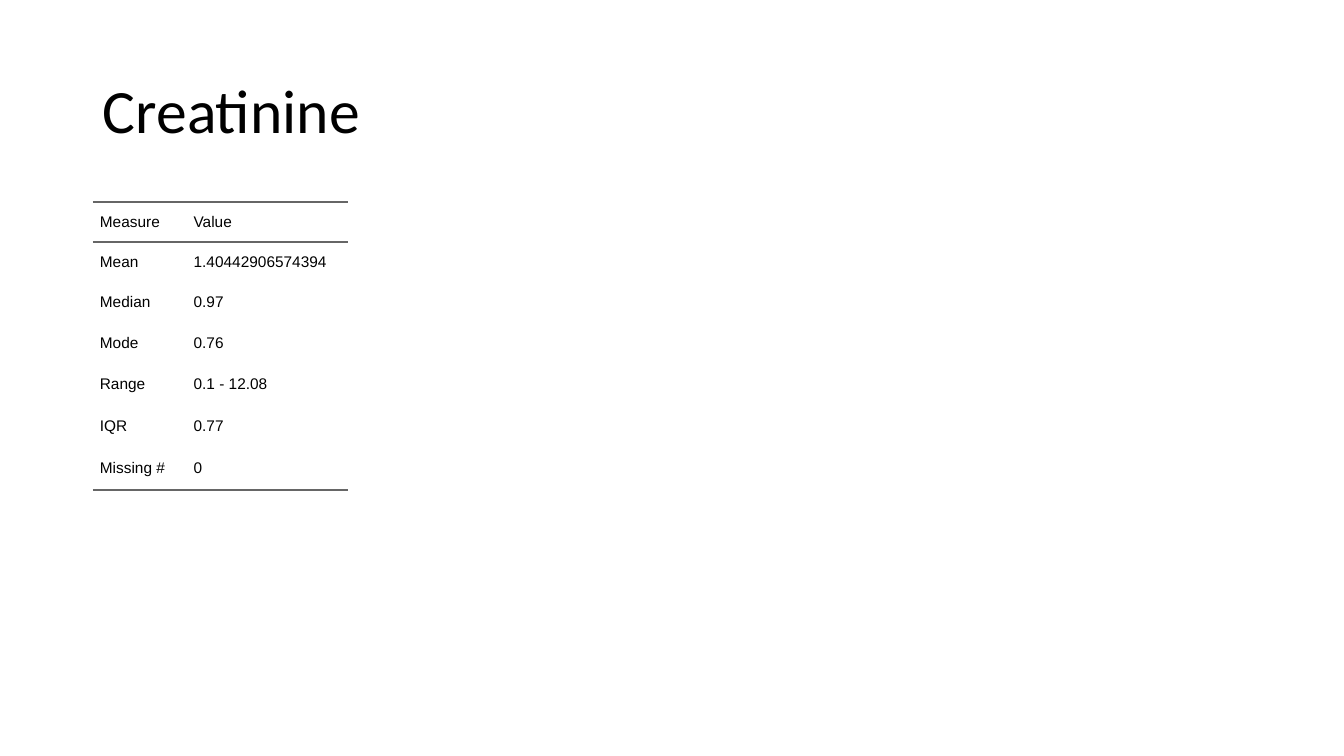
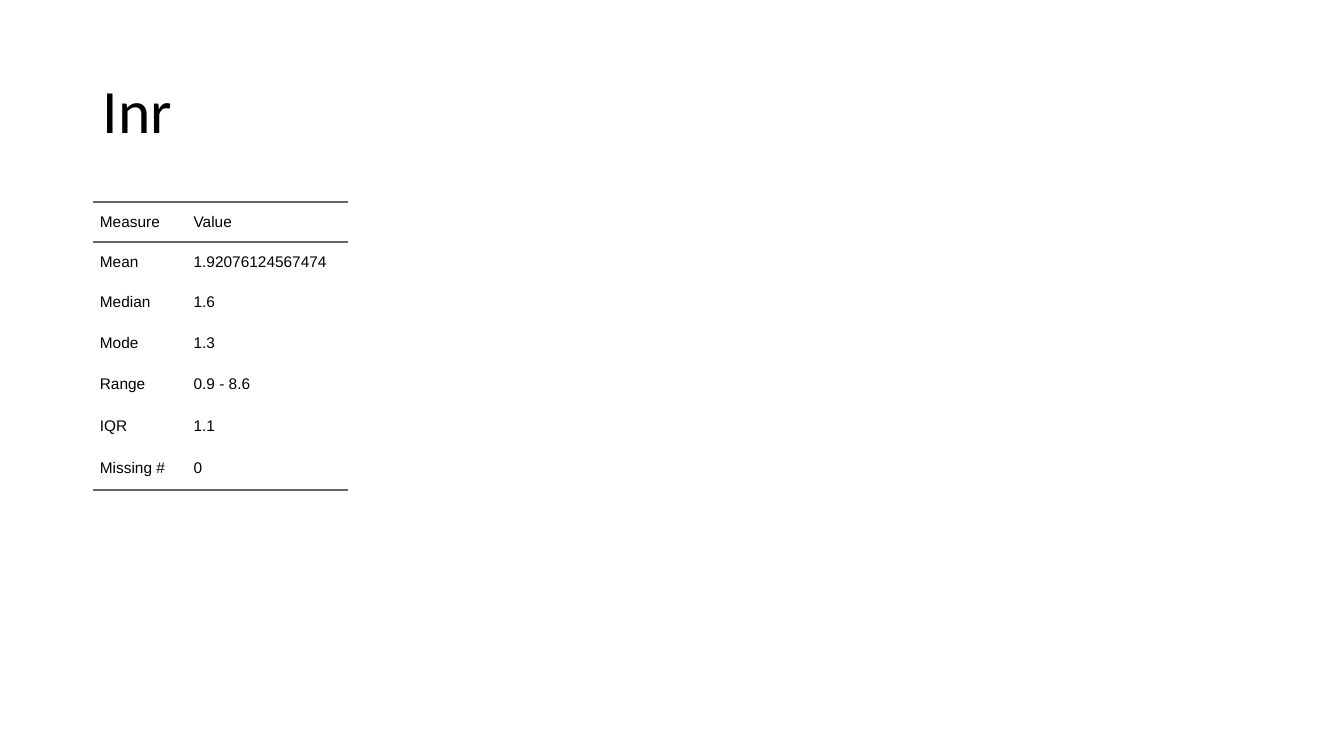
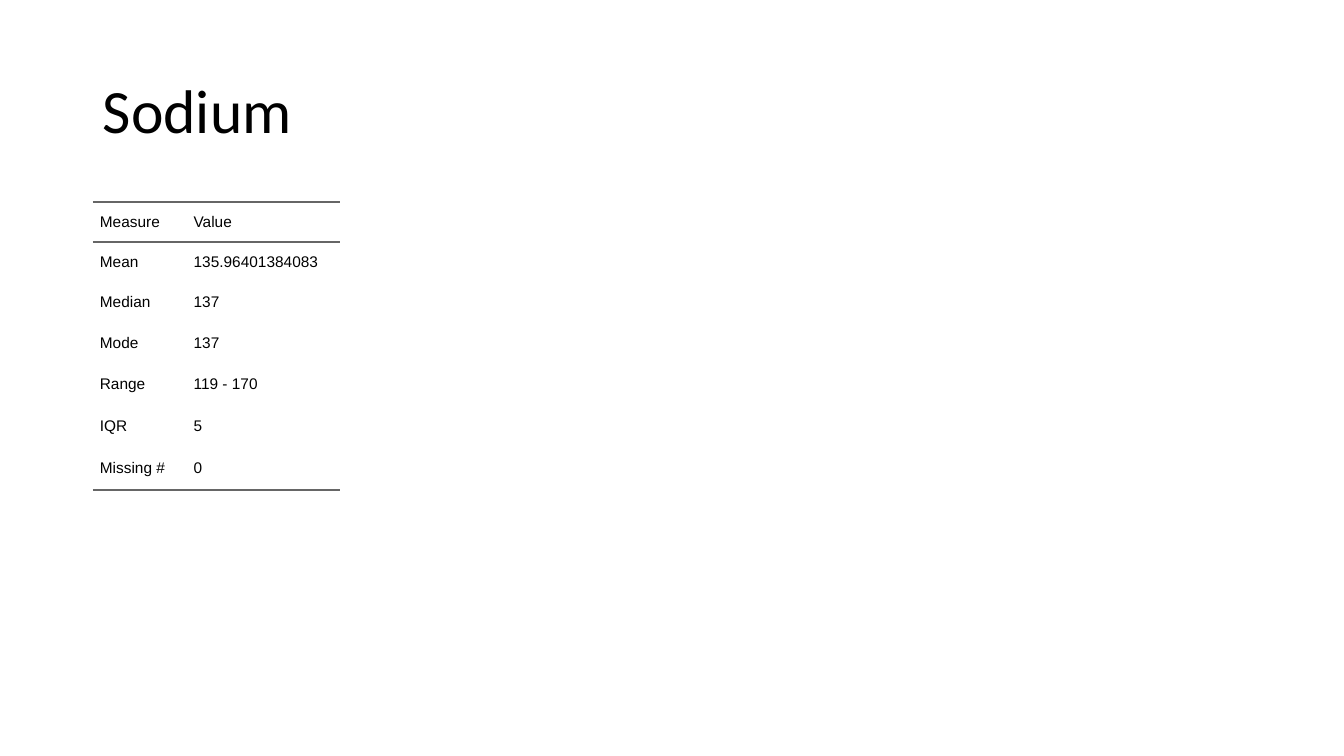
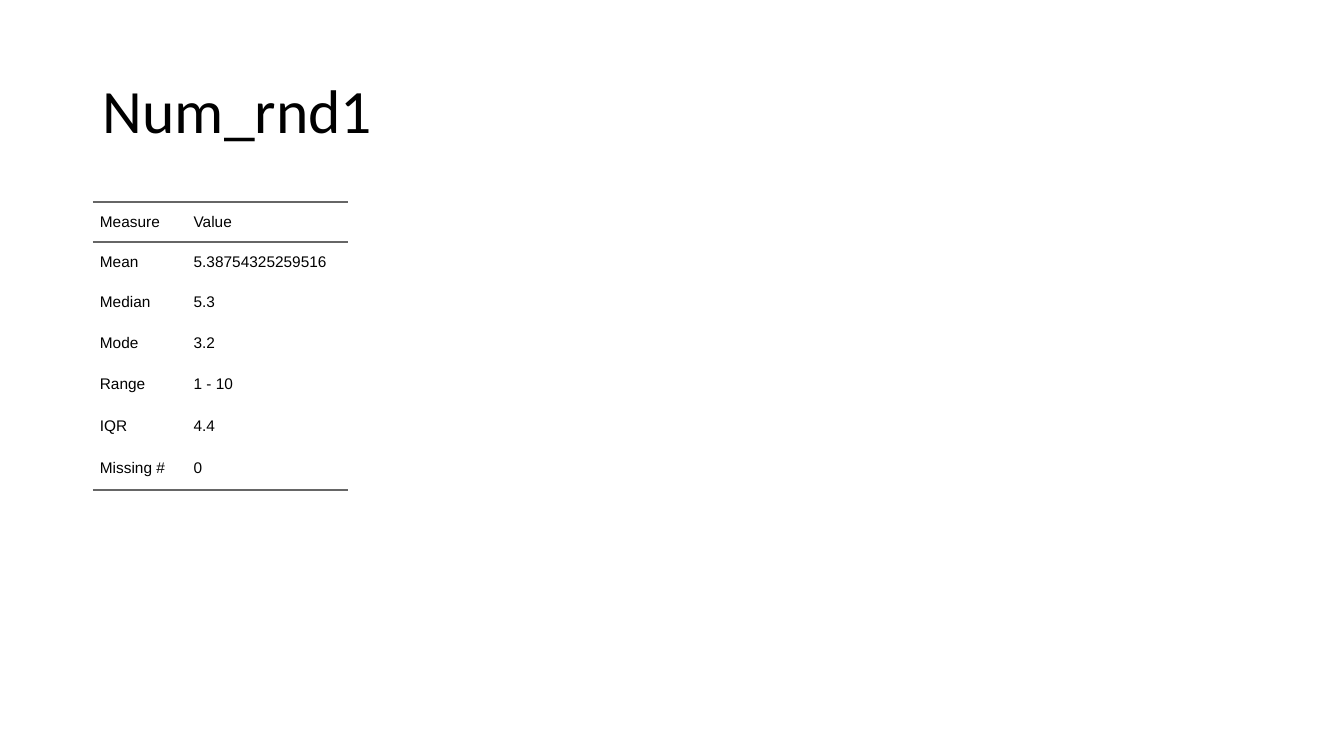
from lxml import etree
from pptx import Presentation
from pptx.dml.color import RGBColor
from pptx.enum.text import MSO_ANCHOR, MSO_AUTO_SIZE, PP_ALIGN
from pptx.oxml.ns import qn
from pptx.util import Inches, Pt

MEASURES = ["Mean", "Median", "Mode", "Range", "IQR", "Missing #"]
HEADER = ("Measure", "Value")
SUMMARIES = {
    "Creatinine": ["1.40442906574394", "0.97", "0.76", "0.1 - 12.08", "0.77", "0"],
    "Inr": ["1.92076124567474", "1.6", "1.3", "0.9 - 8.6", "1.1", "0"],
    "Sodium": ["135.96401384083", "137", "137", "119 - 170", "5", "0"],
    "Num_rnd1": ["5.38754325259516", "5.3", "3.2", "1 - 10", "4.4", "0"],
}

BLACK = RGBColor(0x00, 0x00, 0x00)
RULE_GREY = RGBColor(0x66, 0x66, 0x66)
MIDDLE, LEFT, NO_AUTOFIT = MSO_ANCHOR.MIDDLE, PP_ALIGN.LEFT, MSO_AUTO_SIZE.NONE

PAGE_WIDTH, PAGE_HEIGHT = Inches(13.33), Inches(7.5)
MARGIN = Inches(0.92)
TABLE_TOP = Inches(2)
ROW_HEIGHTS = [Inches(height) for height in (0.4, 0.4, 0.4, 0.4, 0.43, 0.4, 0.43)]
MEASURE_WIDTH = Inches(0.93)
VALUE_WIDTH, NARROW_VALUE_WIDTH = Inches(1.6), Inches(1.52)
LONG_VALUE = 16  # characters that need the full value column
CELL_PADDING = Inches(0.07)
RULE_WIDTH = Pt(1.5)

TITLE_BOX = {"left": MARGIN, "top": Inches(0.4),
             "width": Inches(11.5), "height": Inches(1.45)}
TITLE_FRAME = {"vertical_anchor": MIDDLE, "auto_size": NO_AUTOFIT, "word_wrap": True}
TITLE_PARA = {"alignment": LEFT, "line_spacing": 0.9}
TITLE_FONT = {"name": "Calibri", "size": Pt(44)}
CELL_FORMAT = {"vertical_anchor": MIDDLE, "margin_left": 0, "margin_right": 0,
               "margin_top": CELL_PADDING, "margin_bottom": CELL_PADDING}
CELL_PARA = {"alignment": LEFT, "space_before": Pt(5), "space_after": Pt(5)}
CELL_FONT = {"name": "Arial", "size": Pt(11), "bold": False}


def apply(target, values):
    for name, value in values.items():
        setattr(target, name, value)


def write(para, text, para_format, font_format):
    apply(para, para_format)
    span = para.add_run()
    span.text = text
    apply(span.font, font_format)
    span.font.color.rgb = BLACK


def set_borders(cell, ruled_edges):
    """Draw a grey rule on the named edges (T, B) and clear the others."""
    properties = cell._tc.get_or_add_tcPr()
    for edge in "LRTB":
        line = etree.SubElement(properties, qn(f"a:ln{edge}"))
        if edge in ruled_edges:
            line.set("w", str(RULE_WIDTH))
            fill = etree.SubElement(line, qn("a:solidFill"))
            etree.SubElement(fill, qn("a:srgbClr"), val=str(RULE_GREY))
        else:
            etree.SubElement(line, qn("a:noFill"))


def add_title(page, text):
    title = page.shapes.title
    apply(title, TITLE_BOX)
    apply(title.text_frame, TITLE_FRAME)
    write(title.text_frame.paragraphs[0], text, TITLE_PARA, TITLE_FONT)


def add_summary(page, values):
    rows = [HEADER, *zip(MEASURES, values)]
    is_long = max(map(len, values)) >= LONG_VALUE
    widths = [MEASURE_WIDTH, VALUE_WIDTH if is_long else NARROW_VALUE_WIDTH]
    table = page.shapes.add_table(len(rows), len(widths), MARGIN, TABLE_TOP,
                                  sum(widths), sum(ROW_HEIGHTS)).table
    apply(table, {"first_row": False, "horz_banding": False})
    for column, width in zip(table.columns, widths):
        column.width = width
    for row, height in zip(table.rows, ROW_HEIGHTS):
        row.height = height

    # Both cells that share the edge under the header carry its rule.
    ruled_edges = {0: "TB", 1: "T", len(rows) - 1: "B"}
    for row_index, texts in enumerate(rows):
        for column_index, text in enumerate(texts):
            cell = table.cell(row_index, column_index)
            apply(cell, CELL_FORMAT)
            set_borders(cell, ruled_edges.get(row_index, ""))
            cell.fill.background()
            para = cell.text_frame.paragraphs[0]
            write(para, text, CELL_PARA, CELL_FONT)
            indent = para._p.get_or_add_pPr()
            for side in ("marL", "marR"):
                indent.set(side, str(CELL_PADDING))


def main():
    deck = Presentation()
    deck.slide_width, deck.slide_height = PAGE_WIDTH, PAGE_HEIGHT
    title_only = deck.slide_layouts.get_by_name("Title Only")
    for name, values in SUMMARIES.items():
        page = deck.slides.add_slide(title_only)
        add_title(page, name)
        add_summary(page, values)
    deck.save("out.pptx")


if __name__ == "__main__":
    main()
